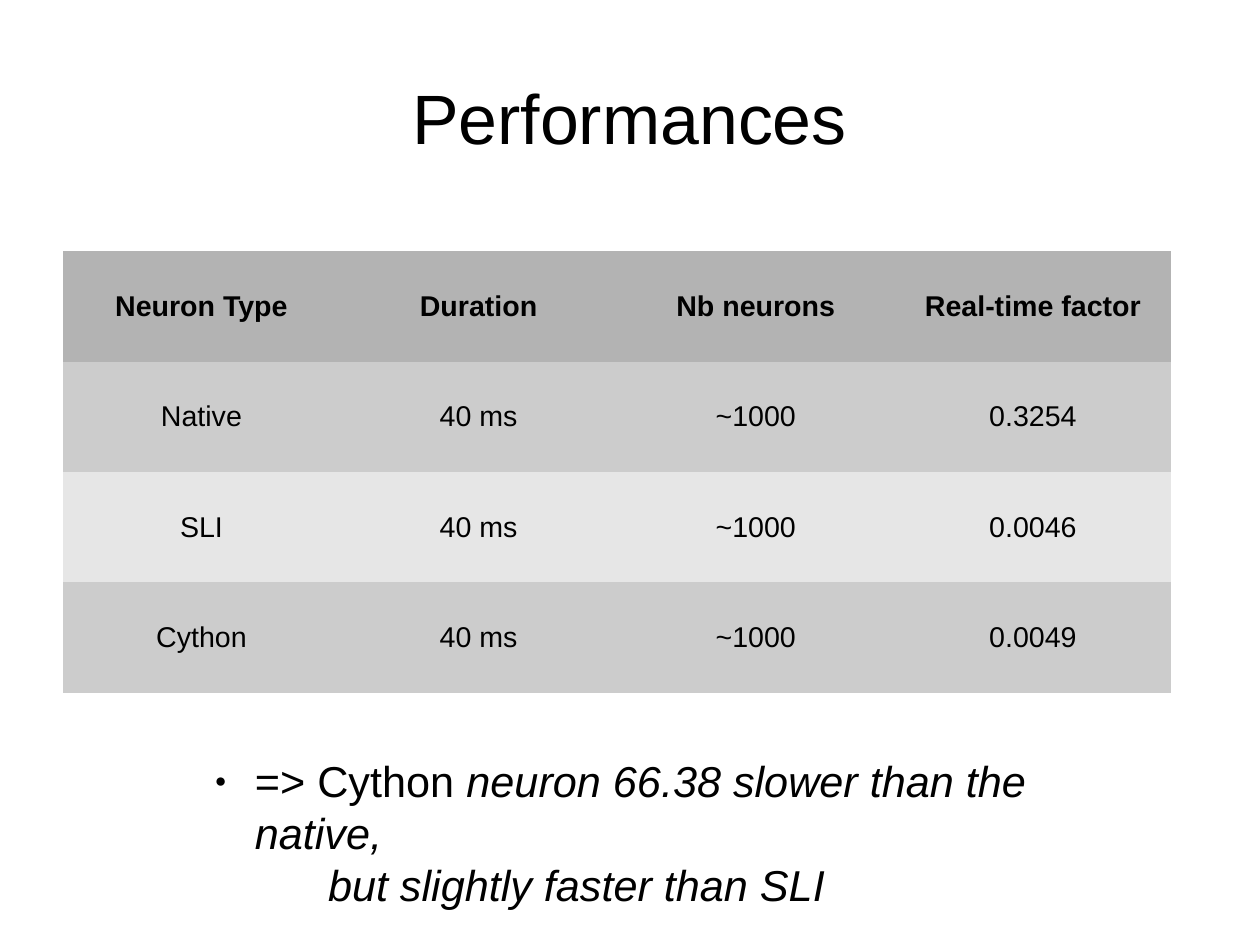
from dataclasses import dataclass

from lxml import etree
from pptx import Presentation
from pptx import util as u
from pptx.dml.color import RGBColor
from pptx.enum import text
from pptx.oxml import ns

FONT = "Arial"
COLORS = {
    "text": "000000",
    "header": "B3B3B3",
    "odd": "CCCCCC",
    "even": "E6E6E6",
}
PLAIN_TABLE = "{2D5ABB26-0587-4C30-8999-92F81FD0307C}"
CM_PER_INCH = 2.54


@dataclass
class Box:
    left: float
    top: float
    width: float
    height: float

    def inches(self) -> tuple:
        return tuple(u.Inches(v) for v in
                     (self.left, self.top, self.width, self.height))


@dataclass
class Measurement:
    neuron: str
    factor: str
    duration: str = "40 ms"
    count: str = "~1000"

    def values(self) -> list[str]:
        return [self.neuron, self.duration, self.count, self.factor]


HEADINGS = ["Neuron Type", "Duration", "Nb neurons", "Real-time factor"]
MEASUREMENTS = [
    Measurement("Native", "0.3254"),
    Measurement("SLI", "0.0046"),
    Measurement("Cython", "0.0049"),
]


def add_run(paragraph, words: str, size: float, bold: bool = False,
            italic: bool = False) -> None:
    run = paragraph.add_run()
    run.text = words
    run.font.name = FONT
    run.font.size = u.Pt(size)
    run.font.bold = bold
    run.font.italic = italic
    run.font.color.rgb = RGBColor.from_string(COLORS["text"])


def place(placeholder, box: Box, anchor):
    """Move a placeholder and return its text frame without margins."""
    (placeholder.left, placeholder.top,
     placeholder.width, placeholder.height) = box.inches()
    frame = placeholder.text_frame
    frame.margin_left = frame.margin_right = 0
    frame.margin_top = frame.margin_bottom = 0
    frame.word_wrap = True
    frame.auto_size = text.MSO_AUTO_SIZE.NONE
    frame.vertical_anchor = anchor
    return frame


def set_indent(paragraph, left: float, first: float, bullet: str = "") -> None:
    props = paragraph._p.get_or_add_pPr()
    props.set("marL", str(u.Inches(left)))
    props.set("indent", str(u.Inches(first)))
    if not bullet:
        etree.SubElement(props, ns.qn("a:buNone"))
        return
    color = etree.SubElement(props, ns.qn("a:buClr"))
    etree.SubElement(color, ns.qn("a:srgbClr"), val=COLORS["text"])
    etree.SubElement(props, ns.qn("a:buSzPct"), val="45000")
    etree.SubElement(props, ns.qn("a:buFont"), typeface=FONT)
    etree.SubElement(props, ns.qn("a:buChar"), char=bullet)


def add_results(slide, box: Box) -> None:
    rows = [HEADINGS] + [m.values() for m in MEASUREMENTS]
    results = slide.shapes.add_table(len(rows), len(HEADINGS),
                                     *box.inches()).table
    results.first_row = results.horz_banding = False
    results._tbl.tblPr.find(ns.qn("a:tableStyleId")).text = PLAIN_TABLE
    for column in results.columns:
        column.width = u.Inches(box.width / len(HEADINGS))
    for r, values in enumerate(rows):
        results.rows[r].height = u.Inches(box.height / len(rows))
        shade = "header" if r == 0 else "odd" if r % 2 else "even"
        for c, value in enumerate(values):
            cell = results.cell(r, c)
            cell.fill.solid()
            cell.fill.fore_color.rgb = RGBColor.from_string(COLORS[shade])
            cell.vertical_anchor = text.MSO_ANCHOR.MIDDLE
            paragraph = cell.text_frame.paragraphs[0]
            paragraph.alignment = text.PP_ALIGN.CENTER
            add_run(paragraph, value, 18, bold=r == 0)


def main() -> None:
    # Slide of 28 by 21 centimetres
    deck = Presentation()
    deck.slide_width = u.Inches(28 / CM_PER_INCH)
    deck.slide_height = u.Inches(21 / CM_PER_INCH)
    slide = deck.slides.add_slide(deck.slide_layouts[1])

    # Title
    title = place(slide.shapes.title, Box(0.55, 0.33, 9.92, 1.38),
                  text.MSO_ANCHOR.MIDDLE).paragraphs[0]
    title.alignment = text.PP_ALIGN.CENTER
    add_run(title, "Performances", 44)

    # Measured performances
    add_results(slide, Box(0.55, 2.2, 9.7, 3.86))

    # Conclusion, with an indented second line
    conclusion = place(slide.placeholders[1], Box(1.76, 6.6, 7.5, 1.1),
                       text.MSO_ANCHOR.TOP)
    finding, nuance = conclusion.paragraphs[0], conclusion.add_paragraph()
    for line in (finding, nuance):
        line.line_spacing = 1.0
        line.space_before = line.space_after = u.Pt(0)
    set_indent(finding, 0.47, -0.35, "●")
    add_run(finding, "=> Cython ", 27.2)
    add_run(finding, "neuron 66.38 slower than the native,", 27.2, italic=True)
    set_indent(nuance, 1.11, 0)
    add_run(nuance, "but slightly faster than SLI", 27.2, italic=True)

    deck.save("out.pptx")


if __name__ == "__main__":
    main()
